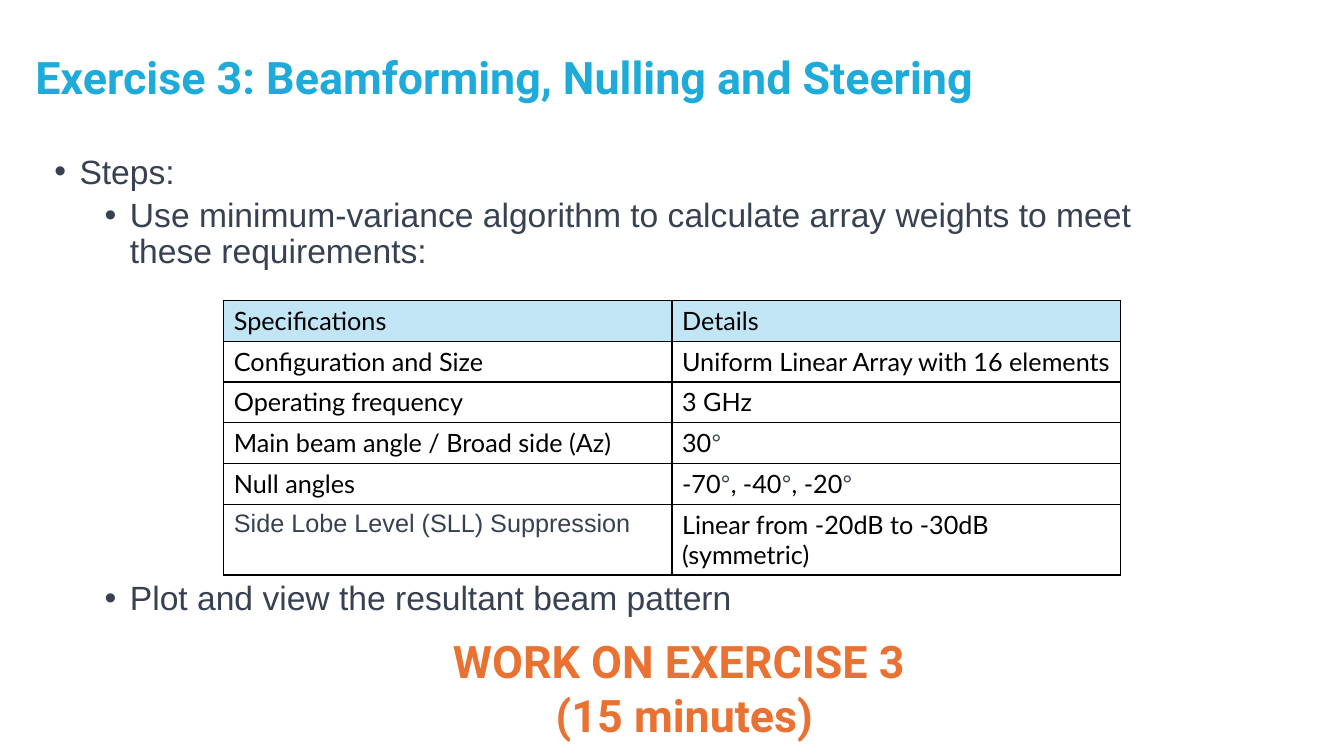
import pptx
import pptx.enum.text
import pptx.oxml
import pptx.oxml.ns
import pptx.util
from pptx.dml.color import RGBColor
from pptx.util import Inches

COLORS = {"title": "1EABDA", "body": "374151", "table": "000000",
          "header": "C1E5F5", "call": "E97132"}
FORMATS = {
    "title": {"name": "Roboto", "size": pptx.util.Pt(32), "bold": True},
    "call": {"name": "Roboto", "size": pptx.util.Pt(32), "bold": True},
    "body": {"name": "Arial", "size": pptx.util.Pt(24), "bold": False},
    "table": {"name": "Lato", "size": pptx.util.Pt(18), "bold": False},
    "symbol": {"name": "Arial", "size": pptx.util.Pt(18), "bold": False},
}
NAMESPACE = pptx.oxml.ns.nsdecls("a")


def add_run(paragraph, text, style, color):
    run = paragraph.add_run()
    run.text = text
    for attribute, value in FORMATS[style].items():
        setattr(run.font, attribute, value)
    run.font.color.rgb = RGBColor.from_string(COLORS[color])


presentation = pptx.Presentation()
presentation.slide_width = Inches(13.33)
presentation.slide_height = Inches(7.5)
slide = presentation.slides.add_slide(presentation.slide_layouts[5])

# Title
title = slide.shapes.title
title.left, title.top = Inches(0.25), Inches(0.38)
title.width, title.height = Inches(12.43), Inches(0.82)
title.text_frame.auto_size = pptx.enum.text.MSO_AUTO_SIZE.NONE
title.text_frame.vertical_anchor = pptx.enum.text.MSO_ANCHOR.MIDDLE
paragraph = title.text_frame.paragraphs[0]
paragraph.alignment = pptx.enum.text.PP_ALIGN.LEFT
paragraph.line_spacing = 0.9
add_run(paragraph, "Exercise 3: Beamforming, Nulling and Steering", "title", "title")

# Steps: text, level, left indent in inches, space before in points
steps = [
    ("Steps:", 0, 0.25, 0),
    ("Use minimum-variance algorithm to calculate array weights to meet "
     "these requirements:", 1, 0.75, 5),
    ("Plot and view the resultant beam pattern", 1, 0.75, 222),
]
steps_box = slide.shapes.add_textbox(Inches(0.44), Inches(1.49), Inches(11.72), Inches(4.76))
frame = steps_box.text_frame
frame.word_wrap = True
for index, (text, level, indent, space) in enumerate(steps):
    paragraph = frame.add_paragraph() if index else frame.paragraphs[0]
    paragraph.level = level
    paragraph.line_spacing = 0.9
    paragraph.space_before = pptx.util.Pt(space)
    properties = paragraph._p.get_or_add_pPr()
    properties.set("marL", str(Inches(indent)))
    properties.set("indent", str(Inches(-0.25)))
    for bullet in ('<a:buFont {} typeface="Arial"/>', '<a:buChar {} char="•"/>'):
        properties.append(pptx.oxml.parse_xml(bullet.format(NAMESPACE)))
    add_run(paragraph, text, "body", "body")

# Requirements table
requirements = [
    ("Specifications", "Details"),
    ("Configuration and Size", "Uniform Linear Array with 16 elements"),
    ("Operating frequency", "3 GHz"),
    ("Main beam angle / Broad side (Az)", "30°"),
    ("Null angles", "-70°, -40°, -20°"),
    ("Side Lobe Level (SLL) Suppression", "Linear from -20dB to -30dB (symmetric)"),
]
table = slide.shapes.add_table(len(requirements), 2, Inches(2.22), Inches(2.98),
                               Inches(8.89), Inches(2.43)).table
table.first_row = False
table.horz_banding = False
for row, texts in enumerate(requirements):
    for column, text in enumerate(texts):
        cell = table.cell(row, column)
        properties = cell._tc.get_or_add_tcPr()
        for side in ("lnL", "lnR", "lnT", "lnB"):
            properties.append(pptx.oxml.parse_xml(
                f'<a:{side} {NAMESPACE} w="12700"><a:solidFill>'
                f'<a:srgbClr val="{COLORS["table"]}"/></a:solidFill></a:{side}>'))
        if row == 0:
            cell.fill.solid()
            cell.fill.fore_color.rgb = RGBColor.from_string(COLORS["header"])
        else:
            cell.fill.background()
        paragraph = cell.text_frame.paragraphs[0]
        if text.startswith("Side Lobe"):
            add_run(paragraph, text, "symbol", "body")
            continue
        # Degree signs are set in the body font and colour
        for position, part in enumerate(text.split("°")):
            if position:
                add_run(paragraph, "°", "symbol", "body")
            if part:
                add_run(paragraph, part, "table", "table")

# Call to work
call_box = slide.shapes.add_textbox(Inches(4.12), Inches(6.24), Inches(5.34), Inches(1.18))
frame = call_box.text_frame
frame.word_wrap = True
for index, text in enumerate(("WORK ON EXERCISE 3 ", "(15 minutes)")):
    paragraph = frame.add_paragraph() if index else frame.paragraphs[0]
    paragraph.alignment = pptx.enum.text.PP_ALIGN.CENTER
    add_run(paragraph, text, "call", "call")

presentation.save("out.pptx")
